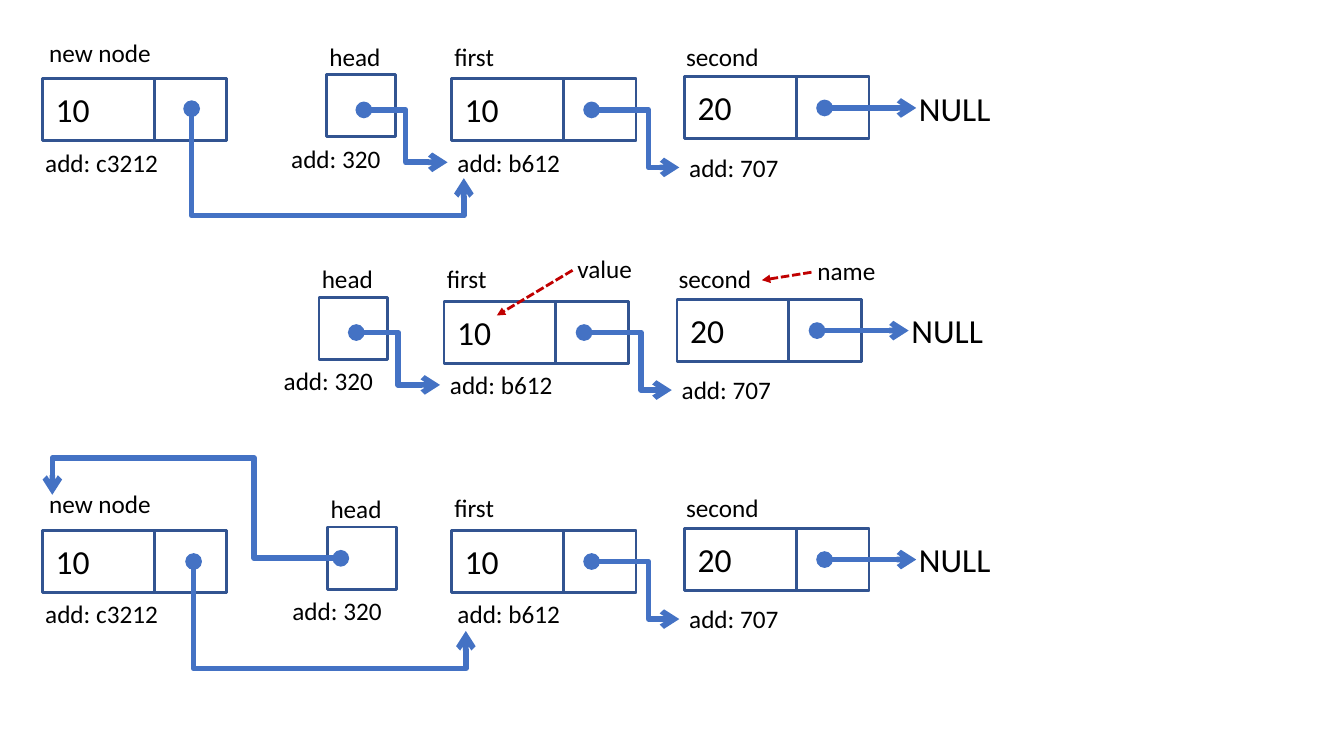
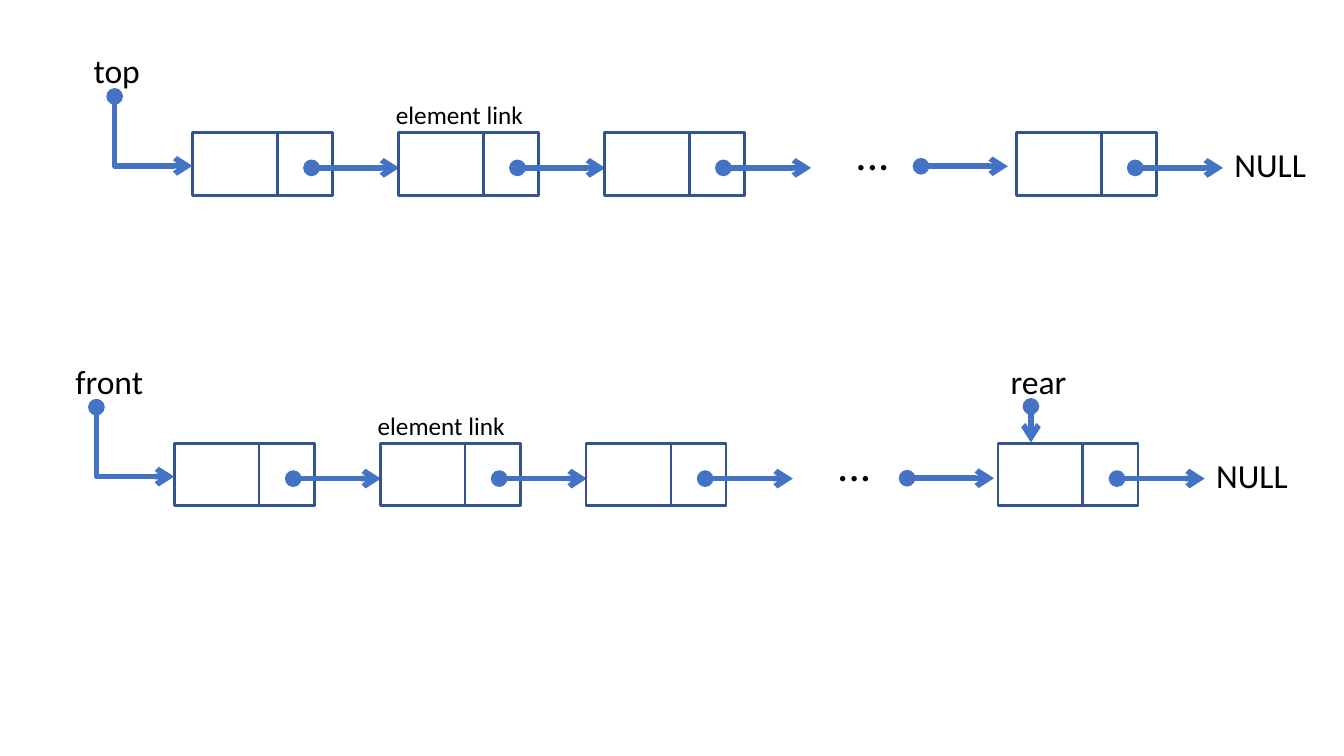
from typing import NamedTuple

from pptx import Presentation
from pptx.dml.color import RGBColor
from pptx.enum.dml import MSO_LINE
from pptx.enum.shapes import MSO_CONNECTOR, MSO_SHAPE
from pptx.enum.text import MSO_ANCHOR, MSO_AUTO_SIZE, PP_ALIGN
from pptx.oxml.ns import qn
from pptx.slide import Slide
from pptx.util import Cm, Pt
from lxml import etree

STRAIGHT = MSO_CONNECTOR.STRAIGHT
ELBOW = MSO_CONNECTOR.ELBOW
RECTANGLE = MSO_SHAPE.RECTANGLE
DASH = MSO_LINE.SQUARE_DOT
TOP = MSO_ANCHOR.TOP
LEFT = PP_ALIGN.LEFT
GROW = MSO_AUTO_SIZE.SHAPE_TO_FIT_TEXT

FONT = "Calibri"
BLACK = "000000"
OUTLINE = "325491"
LINK = "4472C4"
NOTE = "C00000"
BOX_HEIGHT = 1.57
LIST_STEP = 5.19


class Point(NamedTuple):
    x: float
    y: float

    def moved(self, dx: float, dy: float) -> "Point":
        return Point(self.x + dx, self.y + dy)


class Node(NamedTuple):
    corner: Point
    value: str
    name: str
    name_at: Point
    name_width: float
    address: str
    address_at: Point
    address_width: float


class Annotation(NamedTuple):
    text: str
    corner: Point
    width: float
    start: Point
    end: Point


class Chain(NamedTuple):
    origin: Point
    entry: str
    entry_width: float
    loose_link: Point


NEW = Node(Point(1.07, 1.98), "10", "new node", Point(0.99, 0.81), 3.1,
           "add: c3212", Point(0.89, 3.58), 3.38)
FIRST = Node(Point(11.38, 1.98), "10", "first", Point(11.2, 0.91), 1.52,
             "add: b612", Point(11.28, 3.58), 3.12)
SECOND = Node(Point(17.25, 1.93), "20", "second", Point(17.04, 0.91), 2.36,
              "add: 707", Point(17.12, 3.71), 2.79)

BEFORE = Point(0, 0)
LEGEND = Point(-0.19, 5.61)
AFTER = Point(0, 11.38)

ANNOTATIONS = [
    Annotation("value", Point(14.3, 6.27), 1.9, Point(14.43, 6.81), Point(12.52, 7.95)),
    Annotation("name", Point(20.35, 6.32), 1.98, Point(20.45, 6.86), Point(19.2, 7.06)),
]

STACK = Chain(Point(4.85, 3.35), "top", 1.7, Point(18.36, 0.84))
QUEUE = Chain(Point(4.39, 11.18), "front", 2.24, Point(18.47, 0.87))


def color(value: str) -> RGBColor:
    return RGBColor.from_string(value)


def write(slide: Slide, text: str, corner: Point, width: float, *,
          size: int = 18, wrap: bool = False) -> None:
    height = size * 1.2 * 2.54 / 72 + 0.25
    box = slide.shapes.add_textbox(Cm(corner.x), Cm(corner.y), Cm(width), Cm(height))
    frame = box.text_frame
    frame.word_wrap = wrap
    frame.auto_size = GROW
    frame.vertical_anchor = TOP
    paragraph = frame.paragraphs[0]
    paragraph.alignment = LEFT
    run = paragraph.add_run()
    run.text = text
    run.font.name = FONT
    run.font.size = Pt(size)
    run.font.color.rgb = color(BLACK)


def draw_box(slide: Slide, corner: Point, width: float) -> None:
    box = slide.shapes.add_shape(RECTANGLE, Cm(corner.x), Cm(corner.y),
                                 Cm(width), Cm(BOX_HEIGHT))
    box.shadow.inherit = False
    box.fill.background()
    box.line.color.rgb = color(OUTLINE)
    box.line.width = Pt(2)


def draw_cells(slide: Slide, corner: Point, width: float, link_width: float) -> None:
    draw_box(slide, corner, width)
    draw_box(slide, corner.moved(width - link_width, 0), link_width)


def connect(slide: Slide, start: Point, end: Point, *, bend: str = "",
            adjust: tuple[float, ...] = (), turned: bool = False,
            note: bool = False) -> None:
    first, last = start, end
    if turned:
        middle = Point((start.x + end.x) / 2, (start.y + end.y) / 2)
        half_width = abs(end.y - start.y) / 2
        half_height = abs(end.x - start.x) / 2
        first = middle.moved(-half_width, -half_height)
        last = middle.moved(half_width, half_height)
    arrow = slide.shapes.add_connector(ELBOW if bend else STRAIGHT, Cm(first.x),
                                       Cm(first.y), Cm(last.x), Cm(last.y))
    arrow.line.color.rgb = color(NOTE if note else LINK)
    arrow.line.width = Pt(2 if note else 4)
    if note:
        arrow.line.dash_style = DASH
    properties = arrow.element.spPr
    if turned:
        transform = properties.find(qn("a:xfrm"))
        transform.set("rot", "16200000")
        transform.set("flipH", "1")
    if bend:
        geometry = properties.find(qn("a:prstGeom"))
        geometry.set("prst", bend)
        guides = geometry.find(qn("a:avLst"))
        for number, share in enumerate(adjust, 1):
            etree.SubElement(guides, qn("a:gd"), name=f"adj{number}",
                             fmla=f"val {round(share * 100000)}")
    outline = properties.find(qn("a:ln"))
    if not note:
        etree.SubElement(outline, qn("a:headEnd"), type="oval")
    etree.SubElement(outline, qn("a:tailEnd"), type="triangle" if note else "arrow")
    etree.SubElement(properties, qn("a:effectLst"))


def draw_node(slide: Slide, node: Node, shift: Point) -> None:
    corner = node.corner.moved(*shift)
    draw_cells(slide, corner, 4.65, 1.83)
    write(slide, node.value, corner.moved(0.08, 0.14), 1.37, size=24)
    write(slide, node.name, node.name_at.moved(*shift), node.name_width)
    write(slide, node.address, node.address_at.moved(*shift), node.address_width)


def draw_head(slide: Slide, shift: Point) -> None:
    draw_box(slide, Point(8.23, 1.88).moved(*shift), 1.73)
    write(slide, "head", Point(8.05, 0.91).moved(*shift), 2.49, wrap=True)
    write(slide, "add: 320", Point(7.09, 3.48).moved(*shift), 2.79)


def draw_list(slide: Slide, shift: Point) -> None:
    draw_node(slide, FIRST, shift)
    draw_node(slide, SECOND, shift)
    connect(slide, Point(14.91, 2.77).moved(*shift), Point(17.12, 4.22).moved(*shift),
            bend="bentConnector3", adjust=(0.65,))
    connect(slide, Point(20.78, 2.72).moved(*shift), Point(23.09, 2.72).moved(*shift))
    write(slide, "NULL", Point(22.91, 2.08).moved(*shift), 3.68, size=24, wrap=True)


def draw_new_node(slide: Slide, shift: Point, link: Point) -> None:
    draw_node(slide, NEW, shift)
    connect(slide, link, link.moved(6.86, 1.75), bend="bentConnector3",
            adjust=(1.54,), turned=True)


def draw_insertion(slide: Slide) -> None:
    for shift in (BEFORE, LEGEND, AFTER):
        draw_list(slide, shift)
    for shift in (BEFORE, LEGEND):
        draw_head(slide, shift)
        connect(slide, Point(9.17, 2.77).moved(*shift), Point(11.28, 4.09).moved(*shift),
                bend="bentConnector3", adjust=(0.5,))
    draw_head(slide, AFTER.moved(0.03, 0.02))
    connect(slide, Point(8.59, 14.07), Point(1.32, 12.47),
            bend="bentConnector4", adjust=(0.3, 1.58))
    draw_new_node(slide, BEFORE, Point(4.83, 2.74))
    draw_new_node(slide, AFTER, Point(4.88, 14.15))
    for annotation in ANNOTATIONS:
        connect(slide, annotation.start, annotation.end, note=True)
        write(slide, annotation.text, annotation.corner, annotation.width)


def draw_chain(slide: Slide, chain: Chain) -> None:
    origin = chain.origin
    for place in (0, 1, 2, 4):
        corner = origin.moved(place * LIST_STEP, 0)
        draw_cells(slide, corner, 3.53, 1.39)
        connect(slide, corner.moved(3, 0.88), corner.moved(5.21, 0.88))
    write(slide, chain.entry, origin.moved(-2.74, -2.21), chain.entry_width, size=24)
    connect(slide, origin.moved(-1.96, -0.92), origin.moved(0, 0.83),
            bend="bentConnector2", turned=True)
    write(slide, "element link", origin.moved(4.88, -0.97), 3.76)
    write(slide, "...", origin.moved(16.46, -0.3), 1.37, size=32)
    loose = origin.moved(*chain.loose_link)
    connect(slide, loose, loose.moved(2.19, 0))
    write(slide, "NULL", origin.moved(26.01, 0.15), 2.34, size=24)


def draw_stack_and_queue(slide: Slide) -> None:
    for chain in (STACK, QUEUE):
        draw_chain(slide, chain)
    write(slide, "rear", Point(25.22, 8.97), 1.93, size=24)
    connect(slide, Point(25.98, 10.24), Point(25.98, 11.15))


def main() -> None:
    deck = Presentation()
    deck.slide_width = Cm(33.87)
    deck.slide_height = Cm(19.05)
    blank = deck.slide_layouts[6]
    for draw in (draw_insertion, draw_stack_and_queue):
        draw(deck.slides.add_slide(blank))
    deck.save("out.pptx")


main()
